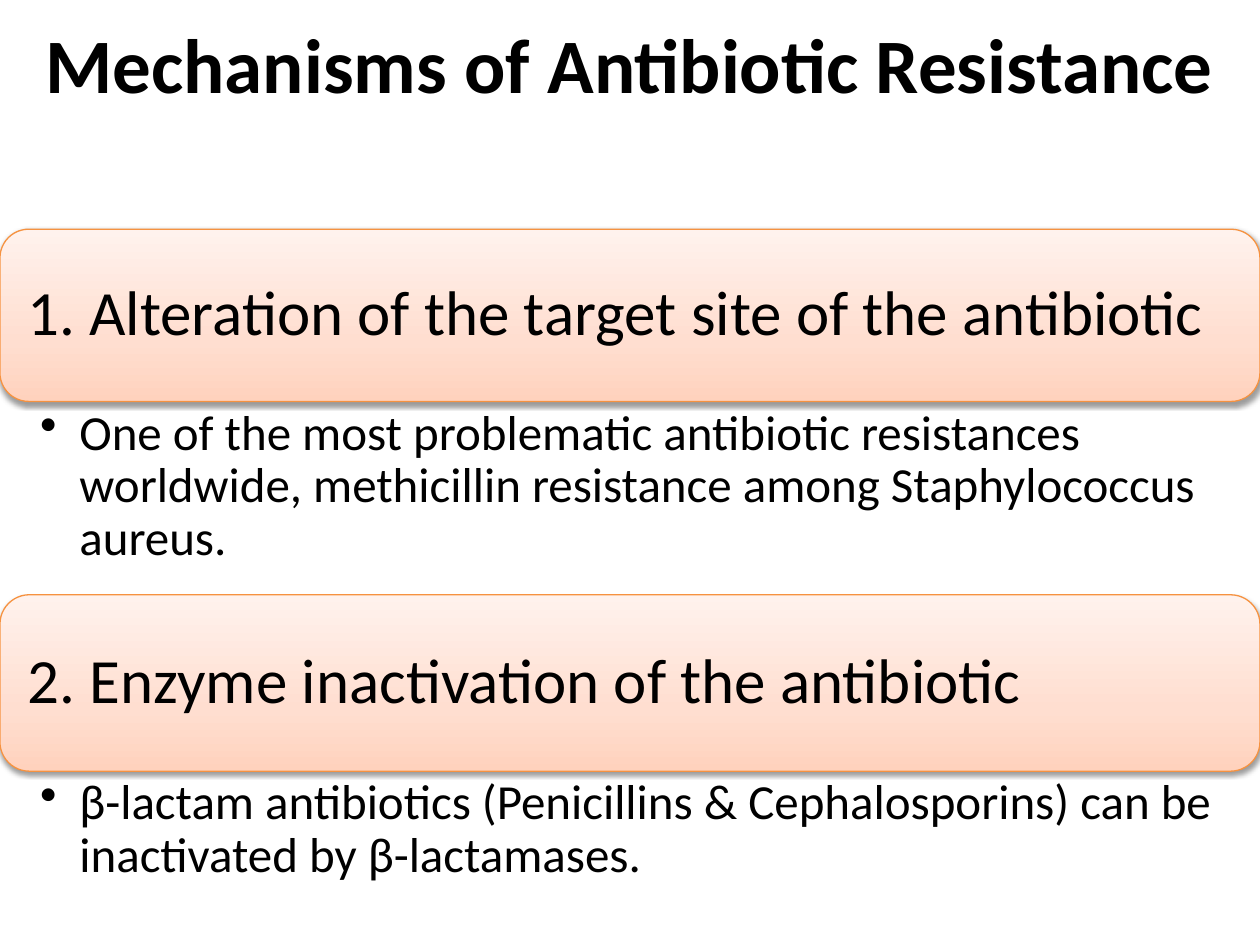
from pptx import Presentation
from pptx.dml.color import RGBColor
from pptx.enum.shapes import MSO_SHAPE
from pptx.enum.text import MSO_ANCHOR, PP_ALIGN
from pptx.oxml import parse_xml
from pptx.oxml.ns import qn
from pptx.util import Pt

ROUND_RECT = MSO_SHAPE.ROUNDED_RECTANGLE
TOP, MIDDLE = MSO_ANCHOR.TOP, MSO_ANCHOR.MIDDLE
LEFT, CENTER = PP_ALIGN.LEFT, PP_ALIGN.CENTER
NS = 'xmlns:a="http://schemas.openxmlformats.org/drawingml/2006/main"'
FONT = "Calibri"
COLORS = {"text": "000000", "line": "F69240", "shadow": "000000",
          "deep": "FFD2BD", "mid": "FFDED0", "pale": "FFF2ED"}
STOPS = [(0, "deep"), (35, "mid"), (100, "pale")]
WIDTH, HEIGHT = 720, 540

# heading, bullet, top, heading height, bullet height
MECHANISMS = [
    ("1. Alteration of the target site of the antibiotic",
     "One of the most problematic antibiotic resistances worldwide, "
     "methicillin resistance among Staphylococcus aureus.",
     131, 98.4, 110.8),
    ("2. Enzyme inactivation of the antibiotic",
     "β-lactam antibiotics (Penicillins & Cephalosporins) can be "
     "inactivated by β-lactamases.",
     339.9, 100.8, 76.3),
]


def rgb(name):
    return RGBColor.from_string(COLORS[name])


def add_text(s, box, text, size, margins, anchor=MIDDLE, align=LEFT,
             bold=False, spacing=None, bullet=False):
    """Place one paragraph; margins are left, top, right, bottom."""
    tf = s.shapes.add_textbox(*map(Pt, box)).text_frame
    tf.word_wrap = True
    tf.vertical_anchor = anchor
    (tf.margin_left, tf.margin_top,
     tf.margin_right, tf.margin_bottom) = map(Pt, margins)
    p = tf.paragraphs[0]
    p.alignment = align
    if spacing:
        p.line_spacing = spacing
    if bullet:
        pPr = p._p.get_or_add_pPr()
        pPr.set("marL", str(Pt(22.5)))
        pPr.set("indent", str(-Pt(22.5)))
        pPr.append(parse_xml(f'<a:buChar {NS} char="•"/>'))
    r = p.add_run()
    r.text = text
    r.font.name, r.font.size, r.font.bold = FONT, Pt(size), bold
    r.font.color.rgb = rgb("text")


def add_bar(s, box):
    """Rounded bar, shaded from the bottom up, with a soft shadow."""
    sp = s.shapes.add_shape(ROUND_RECT, *map(Pt, box))
    sp.fill.gradient()
    sp.fill.gradient_angle = 90
    spPr = sp._element.spPr
    stops = spPr.find(".//" + qn("a:gsLst"))
    stops.clear()
    for pos, name in STOPS:
        stops.append(parse_xml(
            f'<a:gs {NS} pos="{pos * 1000}">'
            f'<a:srgbClr val="{COLORS[name]}"/></a:gs>'))
    sp.line.color.rgb = rgb("line")
    sp.line.width = Pt(0.75)
    sp.shadow.inherit = False
    spPr.find(qn("a:effectLst")).append(parse_xml(
        f'<a:outerShdw {NS} blurRad="{Pt(3.1)}" dist="{Pt(1.6)}" '
        f'dir="5400000" rotWithShape="0"><a:srgbClr val="{COLORS["shadow"]}">'
        f'<a:alpha val="38000"/></a:srgbClr></a:outerShdw>'))


def add_title(s, box, text):
    add_text(s, box, text, 44, (7.2, 3.6, 7.2, 3.6), align=CENTER, bold=True)


def add_mechanism(s, box, heading, detail, bar_h):
    """Heading bar with its bullet below, filling the given box."""
    x, y, w, h = box
    inset = 4.8
    add_bar(s, (x, y, w, bar_h))
    add_text(s, (x + inset, y + inset, w - 2 * inset, bar_h - 2 * inset),
             heading, 36, (10.8,) * 4, spacing=0.9)
    add_text(s, (x, y + bar_h, w, h - bar_h), detail, 28,
             (22.9, 3.6, 20.2, 3.6), anchor=TOP, spacing=0.9, bullet=True)


def main():
    prs = Presentation()
    prs.slide_width, prs.slide_height = Pt(WIDTH), Pt(HEIGHT)
    s = prs.slides.add_slide(prs.slide_layouts[6])
    add_title(s, (0, 0, WIDTH, 72), "Mechanisms of Antibiotic Resistance")
    for heading, detail, top, bar_h, detail_h in MECHANISMS:
        add_mechanism(s, (0, top, WIDTH, bar_h + detail_h),
                      heading, detail, bar_h)
    prs.save("out.pptx")


if __name__ == "__main__":
    main()
